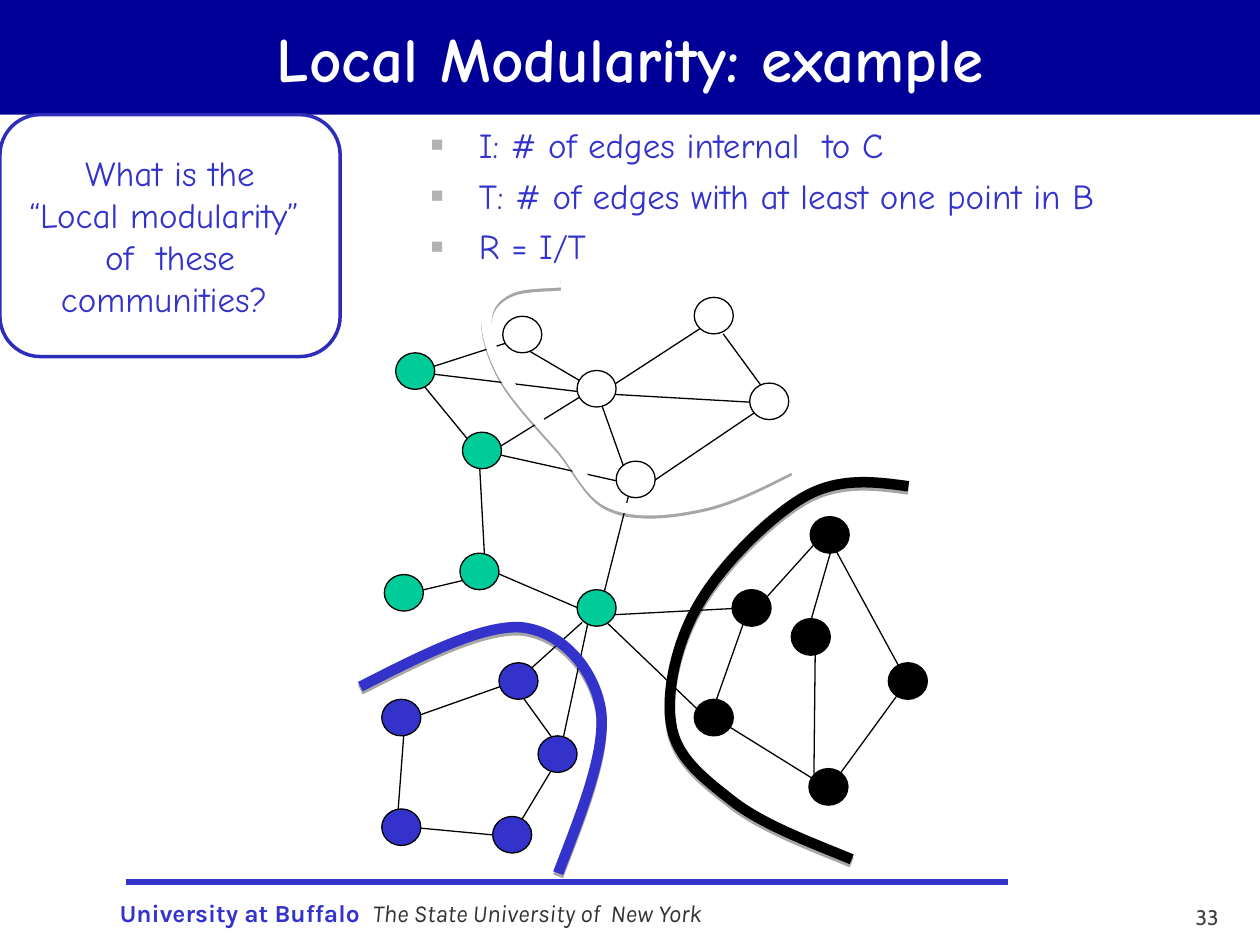
import pptx
import pptx.util
import pptx.dml.color
import pptx.enum.shapes
import pptx.enum.text
import pptx.oxml
import pptx.oxml.ns
from pptx.util import Inches

COLORS = {"blue": "3333CC", "navy": "000099", "frame": "2D2DB9", "green": "00CC99",
          "white": "FFFFFF", "black": "000000", "bullet": "B2B2B2",
          "gray": "333333", "number": "3F3F3F"}
ALIGN = pptx.enum.text.PP_ALIGN
ANCHOR = pptx.enum.text.MSO_ANCHOR
SHAPE = pptx.enum.shapes.MSO_SHAPE
NS = pptx.oxml.ns.nsdecls("a")
NODE_SIZE = (0.31, 0.29)

# Network, in inches from the corner of its box
EDGES = [
    (2.15, 0.68, 1.28, 0.96), (1.83, 2.57, 1.24, 2.71), (5.2, 3.41, 4.58, 2.27),
    (2.69, 1.12, 1.36, 0.96), (2.71, 1.03, 3.02, 1.9), (3.02, 1.81, 2.77, 2.8),
    (3.63, 0.56, 2.77, 1.12), (1.8, 1.58, 1.85, 2.5), (1.83, 1.63, 1.28, 0.96),
    (3, 1.84, 1.83, 1.58), (4.1, 1.2, 3.08, 1.89), (2.6, 2.83, 1.83, 2.5),
    (2.77, 1.12, 2.14, 0.75), (2.11, 3.4, 1.26, 3.7), (1.21, 3.76, 1.15, 4.56),
    (2.68, 2.88, 2.45, 3.95), (2.45, 3.95, 2.06, 3.41), (2.7, 2.83, 3.63, 3.72),
    (2.62, 2.94, 2.11, 3.4), (4.58, 2.19, 4.03, 2.8), (5.2, 3.41, 4.58, 4.26),
    (3.91, 2.92, 3.68, 3.57), (4.58, 4.26, 3.71, 3.72), (3.81, 2.83, 2.85, 2.88),
    (2.62, 1.14, 1.91, 1.58), (3.74, 0.65, 4.15, 1.21), (2.45, 3.99, 2.06, 4.64),
    (2.06, 4.64, 1.2, 4.56), (4.1, 1.2, 2.69, 1.12), (4.59, 2.39, 4.44, 2.91),
    (4.47, 3.2, 4.46, 4.14)]
COMMUNITIES = {
    "green": [(1.67, 1.43), (1.14, 0.8), (1.65, 2.39), (2.58, 2.68), (1.05, 2.56)],
    "white": [(1.99, 0.51), (2.58, 0.94), (2.89, 1.66), (3.95, 1.04), (3.51, 0.36)],
    "blue": [(1.03, 3.55), (1.96, 3.26), (1.03, 4.42), (2.27, 3.84), (1.91, 4.48)],
    "black": [(3.81, 2.68), (3.51, 3.55), (5.05, 3.26), (4.42, 4.1), (4.43, 2.1),
              (4.28, 2.91)]}
# Bezier points: a start, then two controls and an end for each segment
BOUNDARIES = {
    "blue": [(0.86, 3.45), (1.35, 3.2), (1.84, 2.95), (2.15, 2.98), (2.47, 3.02),
             (2.72, 3.32), (2.77, 3.64), (2.81, 3.96), (2.62, 4.44), (2.43, 4.93)],
    "black": [(5.21, 1.86), (4.93, 1.82), (4.66, 1.79), (4.39, 1.94), (4.11, 2.1),
              (3.73, 2.48), (3.55, 2.79), (3.37, 3.09), (3.28, 3.5), (3.33, 3.76),
              (3.37, 4.02), (3.6, 4.19), (3.83, 4.37), (4.07, 4.55), (4.42, 4.68),
              (4.76, 4.82)],
    "white": [(2.45, 0.24), (2.28, 0.25), (2.12, 0.25), (2.03, 0.3), (1.93, 0.35),
              (1.87, 0.42), (1.86, 0.54), (1.86, 0.65), (1.91, 0.83), (2.01, 1),
              (2.11, 1.17), (2.32, 1.39), (2.46, 1.55), (2.6, 1.72), (2.68, 1.93),
              (2.86, 2), (3.05, 2.08), (3.33, 2.05), (3.56, 2), (3.8, 1.95),
              (4.03, 1.83), (4.27, 1.71)]}


def rgb(name):
    return pptx.dml.color.RGBColor.from_string(COLORS[name])


def place(shape, box):
    for side, length in zip(("left", "top", "width", "height"), box):
        setattr(shape, side, Inches(length))


def set_line(line, color, width):
    line.color.rgb = rgb(color)
    line.width = pptx.util.Pt(width)


def style_text(frame, lines, color, align=None, frame_format=None, **font_format):
    frame.text = "\n".join(lines)
    frame_values = {"word_wrap": True, "auto_size": pptx.enum.text.MSO_AUTO_SIZE.NONE}
    for name, value in {**frame_values, **(frame_format or {})}.items():
        setattr(frame, name, value)
    for paragraph in frame.paragraphs:
        paragraph.alignment = align
        for run in paragraph.runs:
            run.font.color.rgb = rgb(color)
            for name, value in font_format.items():
                setattr(run.font, name, value)


def add_label(slide, box, text, color, align=None, frame_format=None, **font_format):
    label = slide.shapes.add_textbox(*map(Inches, box))
    style_text(label.text_frame, [text], color, align, frame_format, **font_format)


def add_shape(slide, kind, box, fill, line, width):
    shape = slide.shapes.add_shape(kind, *map(Inches, box))
    shape.shadow.inherit = False
    shape.fill.solid()
    shape.fill.fore_color.rgb = rgb(fill)
    set_line(shape.line, line, width)
    return shape


def add_line(slide, x1, y1, x2, y2, color, width):
    line = slide.shapes.add_connector(pptx.enum.shapes.MSO_CONNECTOR.STRAIGHT,
                                      *map(Inches, (x1, y1, x2, y2)))
    set_line(line.line, color, width)
    line._element.spPr.append(pptx.oxml.parse_xml(f"<a:effectLst {NS}/>"))


def curve_segments(shape):
    """Turn each three straight segments into one Bezier segment."""
    segments = shape._element.spPr.findall(".//" + pptx.oxml.ns.qn("a:lnTo"))
    for i in range(0, len(segments), 3):
        curve = pptx.oxml.parse_xml(f"<a:cubicBezTo {NS}/>")
        segments[i].addprevious(curve)
        for segment in segments[i:i + 3]:
            curve.append(segment[0])
            segment.getparent().remove(segment)


def add_boundary(slide, origin, points, color):
    start, *rest = [tuple(Inches(o + v) for o, v in zip(origin, point))
                    for point in points]
    builder = slide.shapes.build_freeform(*start)
    builder.add_line_segments(rest, close=False)
    boundary = builder.convert_to_shape()
    curve_segments(boundary)
    boundary.fill.background()
    set_line(boundary.line, color, 6)
    boundary._element.spPr.append(pptx.oxml.parse_xml(
        f'<a:effectLst {NS}><a:outerShdw blurRad="0" dist="22860" dir="5400000" '
        'rotWithShape="0"><a:srgbClr val="000000"><a:alpha val="35000"/></a:srgbClr>'
        '</a:outerShdw></a:effectLst>'))


def add_title(slide, box):
    title = slide.shapes.title
    place(title, box)
    title.fill.solid()
    title.fill.fore_color.rgb = rgb("navy")
    style_text(title.text_frame, ["Local Modularity: example"], "white", ALIGN.CENTER,
               {"vertical_anchor": ANCHOR.MIDDLE},
               name="Comic Neue", size=pptx.util.Pt(36), bold=True)


def add_definitions(slide, box):
    body = slide.placeholders[1]
    place(body, box)
    style_text(body.text_frame,
               ["I: # of edges internal  to C",
                "T: # of edges with at least one point in B", "R = I/T"],
               "blue", ALIGN.LEFT, name="Comic Neue", size=pptx.util.Pt(20))
    for index, paragraph in enumerate(body.text_frame.paragraphs):
        properties = paragraph._p.get_or_add_pPr()
        properties.set("marL", str(Inches(0.88)))
        properties.set("indent", str(Inches(-0.38)))
        for bullet in (f'<a:buClr {NS}><a:srgbClr val="{COLORS["bullet"]}"/></a:buClr>',
                       f'<a:buSzPct {NS} val="60000"/>',
                       f'<a:buFont {NS} typeface="Arial"/>',
                       f'<a:buChar {NS} char="■"/>'):
            properties.append(pptx.oxml.parse_xml(bullet))
        paragraph.space_before = pptx.util.Pt(5 if index else 0)


def add_network(slide, box):
    left, top = box[:2]
    for x1, y1, x2, y2 in EDGES:
        add_line(slide, left + x1, top + y1, left + x2, top + y2, "black", 0.75)
    for color, nodes in COMMUNITIES.items():
        for x, y in nodes:
            add_shape(slide, SHAPE.OVAL, (left + x, top + y, *NODE_SIZE),
                      color, "black", 0.75)
    for color, points in BOUNDARIES.items():
        add_boundary(slide, (left, top), points, color)


def add_question(slide, box):
    question = add_shape(slide, SHAPE.ROUNDED_RECTANGLE, box, "white", "frame", 2)
    style_text(question.text_frame,
               ["What is the", "“Local modularity” ", "of  these communities? "],
               "blue", ALIGN.CENTER, {"vertical_anchor": ANCHOR.MIDDLE},
               name="Comic Neue", size=pptx.util.Pt(20))


def add_footer(slide, box):
    left, top = box[:2]
    add_line(slide, left + 1, top, left + 8, top, "blue", 3)
    size = pptx.util.Pt(14)
    text_top = top + 0.08
    add_label(slide, (left + 0.85, text_top, 2.21, 0.34), "University at Buffalo", "blue",
              frame_format={"word_wrap": False}, name="Karla", size=size, bold=True)
    add_label(slide, (left + 2.86, text_top, 3.03, 0.34),
              "The State University of  New York", "gray",
              frame_format={"word_wrap": False}, name="Karla", size=size, italic=True)
    add_label(slide, (left + 8.97, text_top, 0.8, 0.3), "33", "number", ALIGN.RIGHT,
              {"vertical_anchor": ANCHOR.BOTTOM, "margin_bottom": 0},
              name="Cabin", size=pptx.util.Pt(12))


def main():
    deck = pptx.Presentation()
    deck.slide_width, deck.slide_height = Inches(10), Inches(7.5)
    slide = deck.slides.add_slide(deck.slide_layouts[1])
    add_footer(slide, (0, 7, 10, 0.5))
    add_title(slide, (0, 0, 10, 0.91))
    add_network(slide, (2, 2, 5.4, 5))
    add_question(slide, (0, 0.91, 2.7, 1.92))
    add_definitions(slide, (2.82, 0.93, 7.17, 1.24))
    deck.save("out.pptx")


if __name__ == "__main__":
    main()
